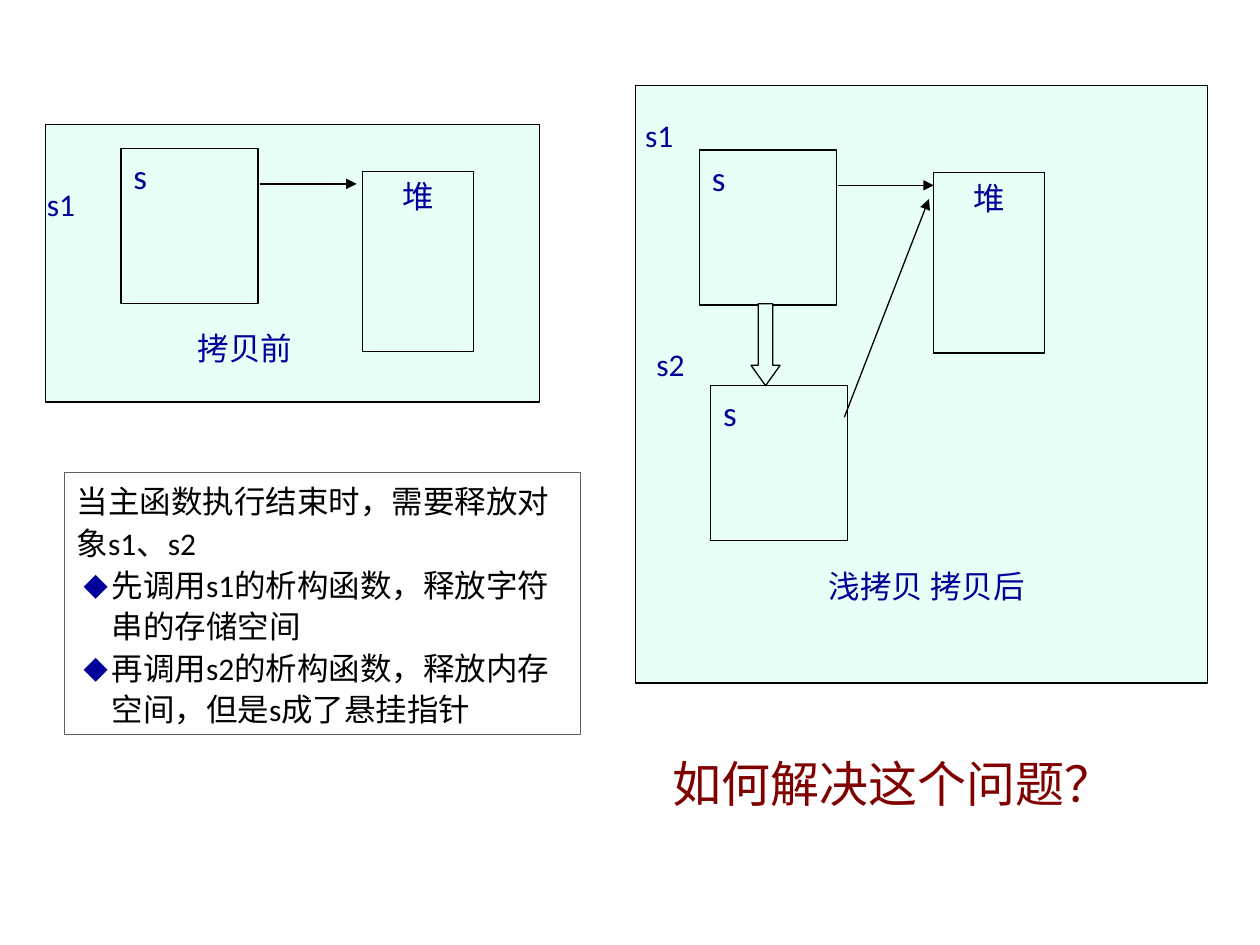
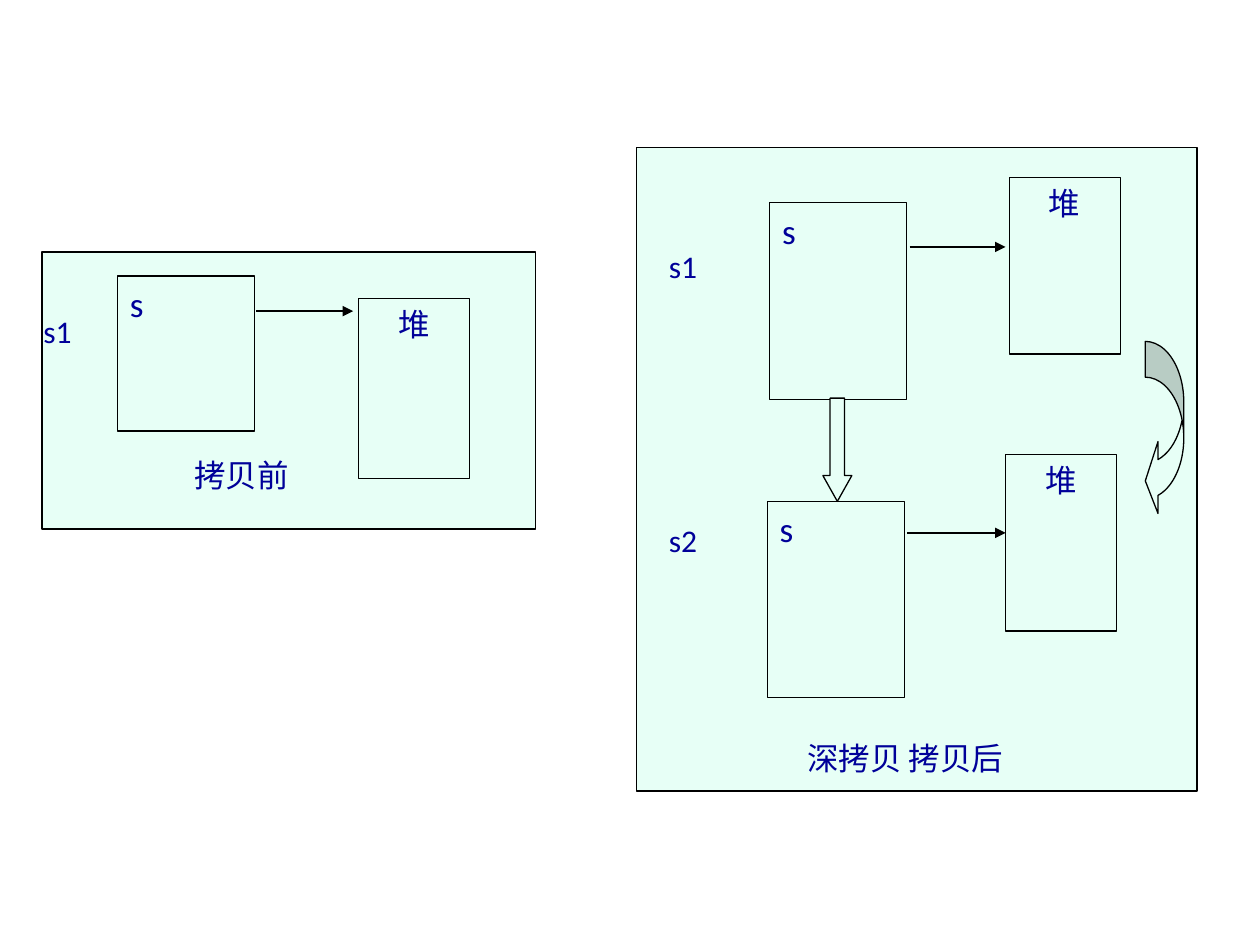
from lxml.etree import SubElement
from pptx import Presentation
from pptx.dml.color import RGBColor
from pptx.enum.shapes import MSO_CONNECTOR, MSO_SHAPE
from pptx.enum.text import MSO_ANCHOR, MSO_AUTO_SIZE, PP_ALIGN
from pptx.oxml.ns import qn
from pptx.util import Pt

MINT, NAVY, BLACK, GREY, MAROON = "E7FFF6", "000099", "000000", "5F5F5F", "800000"
LINE_WIDTH = 0.75

# Font formats by role
FONTS = {
    "field": {"name": "Calibri", "size": Pt(20)},
    "label": {"name": "Calibri", "size": Pt(18)},
    "question": {"name": "Calibri", "size": Pt(28)},
}
FRAME = {
    "margin_left": Pt(7.2), "margin_right": Pt(7.2),
    "margin_top": Pt(3.6), "margin_bottom": Pt(3.6),
    "word_wrap": True, "vertical_anchor": MSO_ANCHOR.TOP,
}


def rgb(value):
    return RGBColor.from_string(value)


def set_all(target, formats):
    for name, value in formats.items():
        setattr(target, name, value)


def write(sp, lines, role="label", color=NAVY, align=PP_ALIGN.LEFT, spacing=1.0):
    tf = sp.text_frame
    set_all(tf, FRAME)
    for i, text in enumerate(lines):
        p = tf.paragraphs[0] if i == 0 else tf.add_paragraph()
        set_all(p, {"alignment": align, "line_spacing": spacing})
        r = p.add_run()
        r.text = text
        set_all(r.font, FONTS[role])
        r.font.color.rgb = rgb(color)
    return tf


def add_shape(shapes, x, y, w, h, kind=MSO_SHAPE.RECTANGLE, fill=MINT, line=BLACK):
    sp = shapes.add_shape(kind, Pt(x), Pt(y), Pt(w), Pt(h))
    sp.shadow.inherit = False
    if fill:
        sp.fill.solid()
        sp.fill.fore_color.rgb = rgb(fill)
    else:
        sp.fill.background()
    if line:
        sp.line.color.rgb = rgb(line)
        sp.line.width = Pt(LINE_WIDTH)
    else:
        sp.line.fill.background()
    return sp


def add_label(shapes, x, y, w, h, text, **style):
    sp = shapes.add_textbox(Pt(x), Pt(y), Pt(w), Pt(h))
    return write(sp, [text], **style)


def add_field(shapes, x, y, h):
    """Box of an object that holds the pointer s."""
    write(add_shape(shapes, x, y, 78.3, h), ["s"], role="field")


def add_heap(shapes, x, y, h):
    write(add_shape(shapes, x, y, 63.4, h), ["堆"], align=PP_ALIGN.CENTER)


def add_pointer(shapes, x1, y1, x2, y2):
    c = shapes.add_connector(MSO_CONNECTOR.STRAIGHT, Pt(x1), Pt(y1), Pt(x2), Pt(y2))
    c.line.color.rgb = rgb(BLACK)
    c.line.width = Pt(LINE_WIDTH)
    ln = c.line._get_or_add_ln()
    SubElement(ln, qn("a:tailEnd"), type="triangle")
    SubElement(c._element.spPr, qn("a:effectLst"))


def add_copy_arrow(shapes, x, y, h, head):
    sp = add_shape(shapes, x, y, 16.6, h, MSO_SHAPE.DOWN_ARROW)
    sp.adjustments[0], sp.adjustments[1] = 0.5, head


def add_panel(s, x, y, w, h):
    """Group that starts with the mint background."""
    shapes = s.shapes.add_group_shape().shapes
    add_shape(shapes, x, y, w, h)
    return shapes


def before_panel(s, x, y):
    g = add_panel(s, x, y, 282.2, 158.4)
    add_field(g, x + 43.2, y + 13.7, 88.6)
    add_label(g, x - 6.3, y + 31, 56, 44, "s1")
    add_heap(g, x + 181, y + 26.6, 103)
    add_pointer(g, x + 122.4, y + 33.8, x + 177.8, y + 33.8)
    add_label(g, x + 80, y + 113, 111.6, 52.6, "拷贝前")


def shallow_panel(s, x, y):
    g = add_panel(s, x, y, 326.9, 341.3)
    # Both objects point to one heap block
    add_field(g, x + 36.7, y + 36.7, 88.6)
    add_label(g, x - 1.4, y + 13.7, 56, 44, "s1")
    add_heap(g, x + 170.6, y + 49.7, 103)
    add_pointer(g, x + 115.9, y + 56.9, x + 170.6, y + 56.9)
    add_field(g, x + 43.2, y + 171.4, 88.6)
    add_label(g, x + 5, y + 144.7, 56, 44, "s2")
    add_pointer(g, x + 119.5, y + 189.4, x + 167.8, y + 64.8)
    add_copy_arrow(g, x + 66.2, y + 124.6, 46.8, 0.7)
    caption = add_shape(g, x + 23, y + 271.4, 287.3, 52.6, line=None)
    write(caption, ["浅拷贝 拷贝后"], align=PP_ALIGN.CENTER)


def deep_panel(s, x, y):
    g = add_panel(s, x, y, 320.4, 367.9)
    # Each object has its own heap block: name, label, field, heap, pointer
    rows = [
        ("s1", 53.3, (76.3, 31.7), (213.1, 17.3), (156.2, 56.9)),
        ("s2", 210.2, (74.9, 202.3), (211, 175.7), (154.8, 220.3)),
    ]
    for name, label_y, (fx, fy), (hx, hy), (px, py) in rows:
        add_field(g, x + fx, y + fy, 112.3)
        add_heap(g, x + hx, y + hy, 100.8)
        add_pointer(g, x + px, y + py, x + 211, y + py)
        add_label(g, x + 11.5, y + label_y, 56, 55, name)
    add_copy_arrow(g, x + 106.6, y + 143.3, 59, 0.89)
    # Heap contents are copied too
    curve = add_shape(g, x + 290.9, y + 110.9, 22, 100.3, MSO_SHAPE.CURVED_LEFT_ARROW)
    for i, value in enumerate((0.93, 1.87, 0.33)):
        curve.adjustments[i] = value
    add_label(g, x + 5.8, y + 334.8, 295.9, 66, "深拷贝 拷贝后", align=PP_ALIGN.CENTER)


def add_bullet(p):
    pPr = p._p.get_or_add_pPr()
    pPr.set("marL", str(Pt(20)))
    pPr.set("indent", str(-Pt(16)))
    color = SubElement(pPr, qn("a:buClr"))
    SubElement(color, qn("a:srgbClr"), val=NAVY)
    SubElement(pPr, qn("a:buFont"), typeface="Calibri")
    SubElement(pPr, qn("a:buChar"), char="◆")


def explanation(s, x, y):
    sp = add_shape(s.shapes, x, y, 295.2, 149.8, fill=None, line=GREY)
    tf = write(sp, [
        "当主函数执行结束时，需要释放对象s1、s2",
        "先调用s1的析构函数，释放字符串的存储空间",
        "再调用s2的析构函数，释放内存空间，但是s成了悬挂指针",
    ], color=BLACK, spacing=1.1)
    set_all(tf, {"margin_right": Pt(13), "auto_size": MSO_AUTO_SIZE.SHAPE_TO_FIT_TEXT})
    for p in tf.paragraphs[1:]:
        add_bullet(p)


def question(s, x, y):
    tf = add_label(s.shapes, x, y, 295.2, 44.6, "如何解决这个问题？",
                   role="question", color=MAROON, spacing=1.1)
    tf.auto_size = MSO_AUTO_SIZE.SHAPE_TO_FIT_TEXT


def shallow_copy_slide(prs):
    s = prs.slides.add_slide(prs.slide_layouts[6])
    shallow_panel(s, 363, 49)
    before_panel(s, 26, 71.3)
    explanation(s, 36.7, 270)
    question(s, 377.3, 423.4)


def deep_copy_slide(prs):
    s = prs.slides.add_slide(prs.slide_layouts[6])
    before_panel(s, 24, 144)
    deep_panel(s, 363.6, 84.2)


def main():
    prs = Presentation()
    prs.slide_width, prs.slide_height = Pt(720), Pt(540)
    shallow_copy_slide(prs)
    deep_copy_slide(prs)
    prs.save("out.pptx")


if __name__ == "__main__":
    main()
